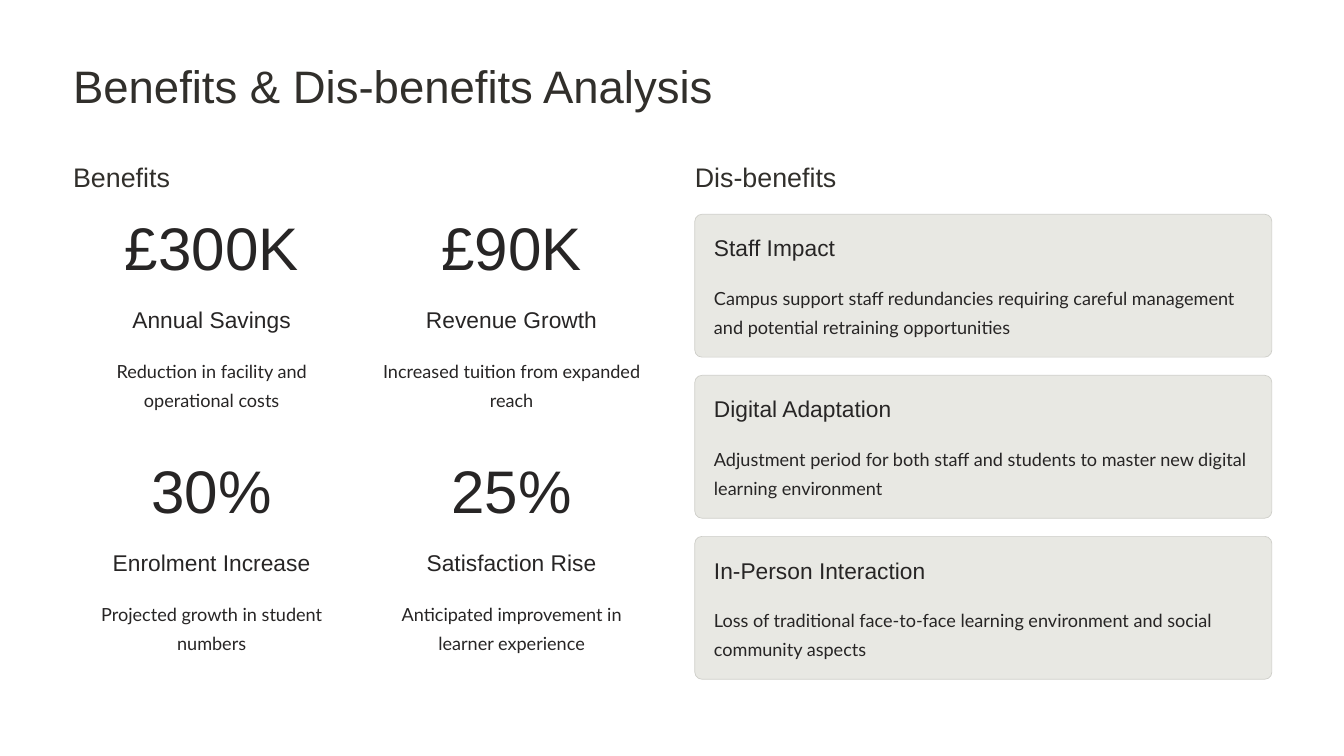
import pptx
import pptx.util
import pptx.dml.color
import pptx.enum.shapes
import pptx.enum.text

Cm = pptx.util.Cm
Pt = pptx.util.Pt
RGBColor = pptx.dml.color.RGBColor
ALIGN = pptx.enum.text.PP_ALIGN

WHITE = RGBColor(0xFF, 0xFF, 0xFF)
HEADING_COLOR = RGBColor(0x31, 0x2F, 0x2B)
BODY_COLOR = RGBColor(0x27, 0x25, 0x25)
CARD_FILL = RGBColor(0xE8, 0xE8, 0xE3)
CARD_LINE = RGBColor(0xCE, 0xCE, 0xC9)

# Text styles: font values, line spacing and wrapping
STYLES = {
    "title": ({"name": "Arial", "size": Pt(39)}, HEADING_COLOR, Pt(48.5), False),
    "heading": ({"name": "Arial", "size": Pt(23)}, HEADING_COLOR, Pt(29), False),
    "figure": ({"name": "Arial", "size": Pt(51.5)}, BODY_COLOR, Pt(51.5), False),
    "label": ({"name": "Arial", "size": Pt(19.5)}, BODY_COLOR, Pt(24), False),
    "detail": ({"name": "Lato", "size": Pt(15.5)}, BODY_COLOR, Pt(25), True),
}

BENEFITS = [
    ("£300K", "Annual Savings", "Reduction in facility and operational costs"),
    ("£90K", "Revenue Growth", "Increased tuition from expanded reach"),
    ("30%", "Enrolment Increase", "Projected growth in student numbers"),
    ("25%", "Satisfaction Rise", "Anticipated improvement in learner experience"),
]
DISBENEFITS = [
    ("Staff Impact", "Campus support staff redundancies requiring careful "
     "management and potential retraining opportunities"),
    ("Digital Adaptation", "Adjustment period for both staff and students to "
     "master new digital learning environment"),
    ("In-Person Interaction", "Loss of traditional face-to-face learning "
     "environment and social community aspects"),
]


def add_text(page, text, style, left, top, width, height, align=ALIGN.LEFT):
    """Place one paragraph in a box without margins."""
    font_values, color, spacing, wrap = STYLES[style]
    box = page.shapes.add_textbox(left, top, width, height)
    frame = box.text_frame
    frame_values = {"margin_left": 0, "margin_top": 0, "margin_right": 0,
                    "margin_bottom": 0, "word_wrap": wrap}
    for name, value in frame_values.items():
        setattr(frame, name, value)
    para = frame.paragraphs[0]
    para.alignment = align
    para.line_spacing = spacing
    span = para.add_run()
    span.text = text
    for name, value in font_values.items():
        setattr(span.font, name, value)
    span.font.color.rgb = color


def add_benefit(page, benefit, left, top, width):
    """A large figure with its label and detail centred below."""
    figure, label, detail = benefit
    inset = Cm(0.74)
    add_text(page, figure, "figure", left, top, width, Cm(1.83), ALIGN.CENTER)
    add_text(page, label, "label", left + inset, top + Cm(2.51),
             width - 2 * inset, Cm(0.86), ALIGN.CENTER)
    add_text(page, detail, "detail", left, top + Cm(3.94), width, Cm(1.75),
             ALIGN.CENTER)


def add_benefits(page, left, top):
    """Heading over a grid of figures, two to a row."""
    add_text(page, "Benefits", "heading", left, top, Cm(8.28), Cm(1.04))
    for index, benefit in enumerate(BENEFITS):
        row, column = divmod(index, 2)
        add_benefit(page, benefit, left + column * Cm(9.07),
                    top + Cm(1.93) + row * Cm(7.34), Cm(8.38))


def add_card(page, card, left, top, width, height):
    """A rounded panel with a label and detail."""
    label, detail = card
    panel = page.shapes.add_shape(
        pptx.enum.shapes.MSO_SHAPE.ROUNDED_RECTANGLE, left, top, width, height)
    panel.adjustments[0] = 0.05
    panel.shadow.inherit = False
    panel.fill.solid()
    panel.fill.fore_color.rgb = CARD_FILL
    panel.line.color.rgb = CARD_LINE
    panel.line.width = Pt(0.6)
    inset = Cm(0.58)
    add_text(page, label, "label", left + inset, top + inset, Cm(6.88), Cm(0.86))
    add_text(page, detail, "detail", left + inset, top + Cm(1.98),
             width - 2 * inset, Cm(1.75))


def add_disbenefits(page, left, top):
    """Heading over a stack of cards."""
    add_text(page, "Dis-benefits", "heading", left, top, Cm(8.28), Cm(1.04))
    for index, card in enumerate(DISBENEFITS):
        add_card(page, card, left, top + Cm(1.68) + index * Cm(4.87),
                 Cm(17.45), Cm(4.32))


def main():
    deck = pptx.Presentation()
    deck.slide_width, deck.slide_height = Cm(40.64), Cm(22.86)
    page = deck.slides.add_slide(deck.slide_layouts[6])
    page.background.fill.solid()
    page.background.fill.fore_color.rgb = WHITE

    add_text(page, "Benefits & Dis-benefits Analysis", "title",
             Cm(2.21), Cm(1.7), Cm(19.43), Cm(1.73))
    add_benefits(page, Cm(2.21), Cm(4.8))
    add_disbenefits(page, Cm(21.01), Cm(4.8))
    deck.save("out.pptx")


if __name__ == "__main__":
    main()
